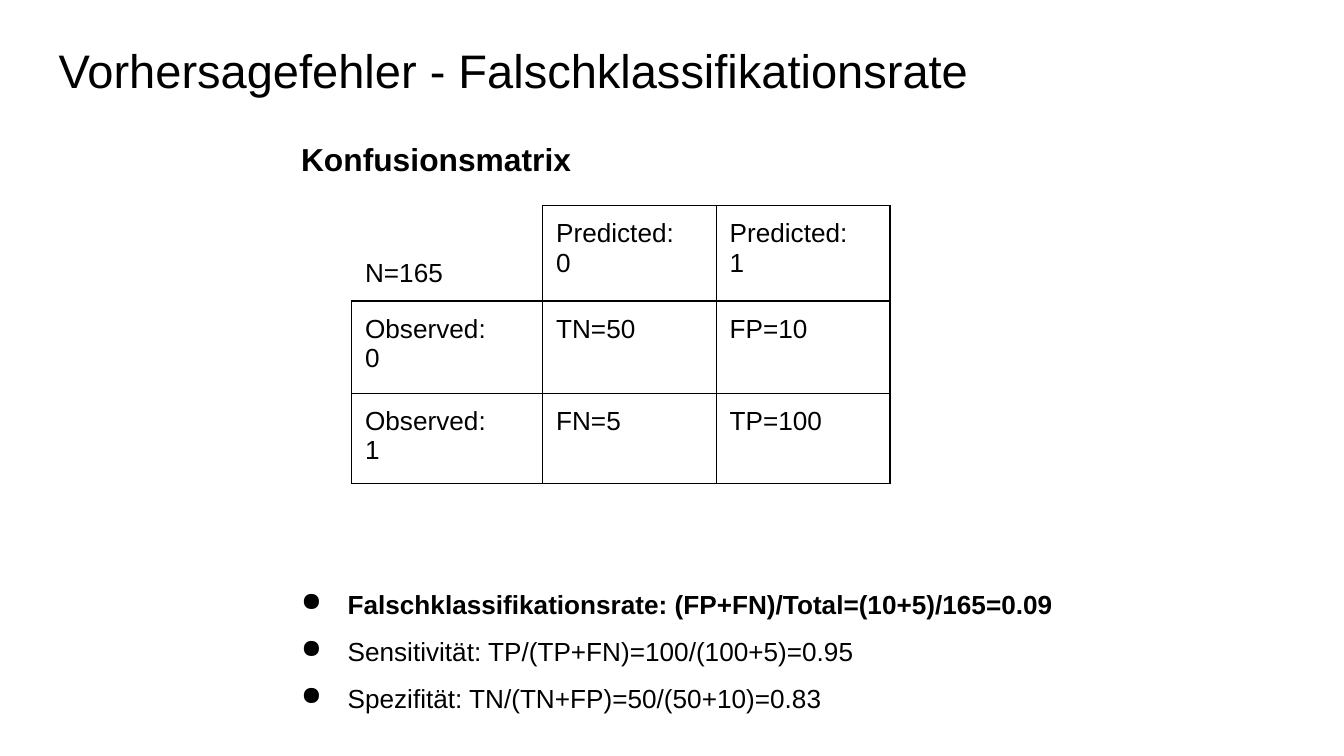
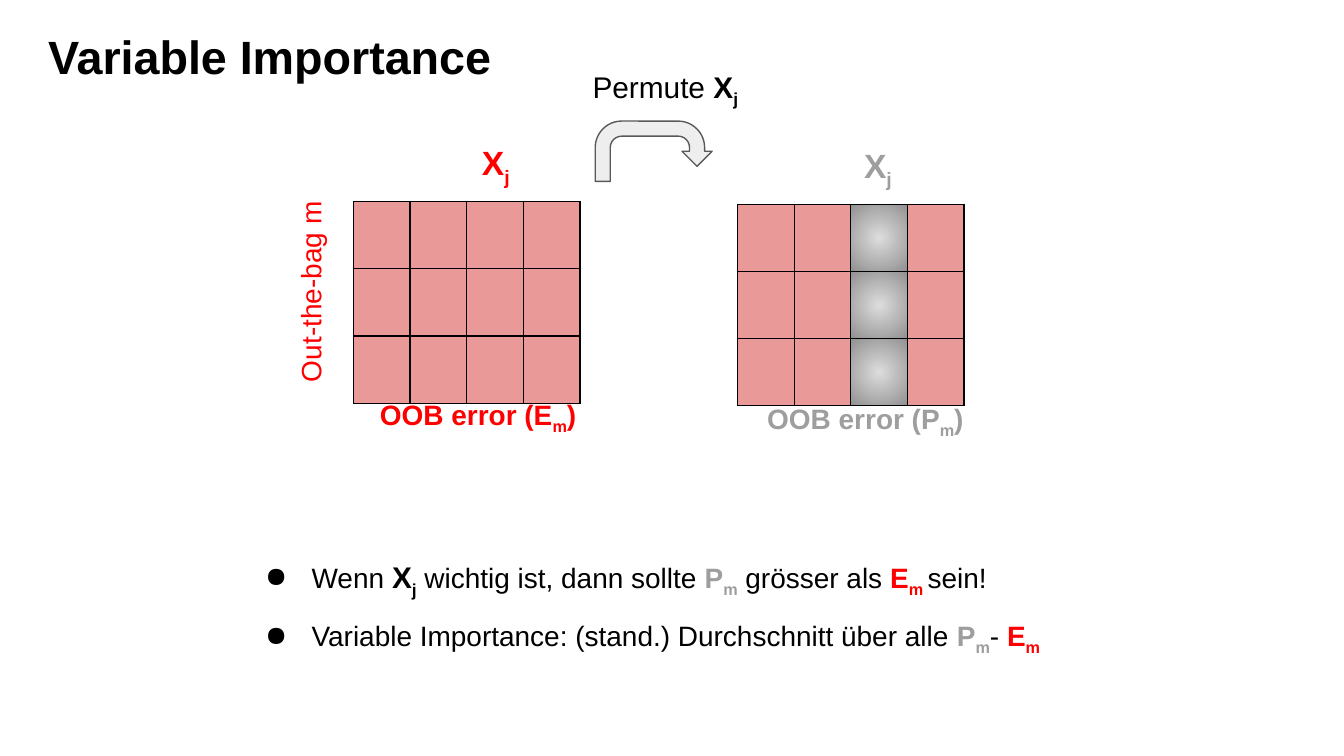
from pptx import Presentation
from pptx.dml.color import RGBColor
from pptx.enum.shapes import MSO_SHAPE
from pptx.enum.text import MSO_ANCHOR
from pptx.oxml import parse_xml
from pptx.util import Cm, Pt

U_TURN = MSO_SHAPE.U_TURN_ARROW
TOP, BOTTOM = MSO_ANCHOR.TOP, MSO_ANCHOR.BOTTOM
NS = 'xmlns:a="http://schemas.openxmlformats.org/drawingml/2006/main"'
FONT = "Arial"
BLACK, RED, GRAY = "000000", "FF0000", "9E9E9E"
PINK, ARROW_FILL, ARROW_LINE = "EA9999", "EEEEEE", "595959"
GLOW_INNER, GLOW_OUTER = "DDDDDD", "919191"
INSET = 0.25
TITLE_WIDTH, TITLE_HEIGHT = 23.67, 1.6
GRID_ROWS, GRID_COLS, GRID_CELL_W, GRID_CELL_H = 3, 4, 1.07, 1.27
PERMUTED_COL = 2


def rgb(value):
    """Turn a hex string into a colour."""
    return RGBColor.from_string(value)


def add_run(p, text, size=14, color=BLACK, bold=False, sub=False):
    """Append one formatted run to a paragraph."""
    r = p.add_run()
    r.text = text
    r.font.name = FONT
    r.font.size = Pt(size)
    r.font.bold = bold
    r.font.color.rgb = rgb(color)
    if sub:
        r._r.get_or_add_rPr().set("baseline", "-25000")


def symbol(letter, index, **fmt):
    """Return the runs of a bold symbol with a subscript."""
    return [(letter, {"bold": True, **fmt}),
            (index, {"bold": True, "sub": True, **fmt})]


def set_bullet(p):
    """Give a paragraph a hanging round bullet."""
    pPr = p._p.get_or_add_pPr()
    pPr.set("marL", str(Cm(1.27)))
    pPr.set("indent", str(Cm(-0.88)))
    pPr.append(parse_xml(f'<a:buClr {NS}><a:srgbClr val="{BLACK}"/></a:buClr>'))
    pPr.append(parse_xml(f'<a:buChar {NS} char="●"/>'))


def fill_text(tf, paragraphs, bullets=False, spacing=None, **fmt):
    """Write paragraphs, each a string or a list of (text, format) runs."""
    for i, runs in enumerate(paragraphs):
        p = tf.add_paragraph() if i else tf.paragraphs[0]
        if spacing:
            p.line_spacing = spacing
        if bullets:
            set_bullet(p)
        for text, own in [(runs, {})] if isinstance(runs, str) else runs:
            add_run(p, text, **{**fmt, **own})


def add_text(s, left, top, width, height, *paragraphs, rotation=0, **fmt):
    """Add a wrapped text box."""
    sp = s.shapes.add_textbox(Cm(left), Cm(top), Cm(width), Cm(height))
    sp.rotation = rotation
    tf = sp.text_frame
    tf.word_wrap = True
    tf.margin_left = tf.margin_right = Cm(INSET)
    tf.margin_top = tf.margin_bottom = Cm(INSET)
    fill_text(tf, paragraphs, **fmt)


def add_title(s, left, top, text, **fmt):
    """Add the slide title."""
    add_text(s, left, top, TITLE_WIDTH, TITLE_HEIGHT, text, **fmt)


def add_bullets(s, left, top, width, height, *items, **fmt):
    """Add a bulleted list with wide line spacing."""
    add_text(s, left, top, width, height, *items, bullets=True, spacing=1.5, **fmt)


def set_borders(cell, sides="LRTB"):
    """Draw thin black borders on the given sides and none elsewhere."""
    tcPr = cell._tc.get_or_add_tcPr()
    for i, side in enumerate("LRTB"):
        paint = (f'<a:solidFill><a:srgbClr val="{BLACK}"/></a:solidFill>'
                 if side in sides else "<a:noFill/>")
        tcPr.insert(i, parse_xml(f'<a:ln{side} {NS} w="{Pt(0.75)}">{paint}</a:ln{side}>'))


def set_glow(cell):
    """Fill a cell with a circular grey gradient."""
    cell._tc.get_or_add_tcPr().append(parse_xml(
        f'<a:gradFill {NS}><a:gsLst>'
        f'<a:gs pos="0"><a:srgbClr val="{GLOW_INNER}"/></a:gs>'
        f'<a:gs pos="100000"><a:srgbClr val="{GLOW_OUTER}"/></a:gs></a:gsLst>'
        '<a:path path="circle"><a:fillToRect l="50000" t="50000" r="50000" b="50000"/>'
        '</a:path></a:gradFill>'))


def add_table(s, left, top, widths, heights):
    """Add an unstyled table with even cell margins."""
    table = s.shapes.add_table(len(heights), len(widths), Cm(left), Cm(top),
                               Cm(sum(widths)), Cm(sum(heights))).table
    table.first_row = table.horz_banding = False
    for column, width in zip(table.columns, widths):
        column.width = Cm(width)
    for row, height in zip(table.rows, heights):
        row.height = Cm(height)
    for cell in table.iter_cells():
        cell.margin_left = cell.margin_right = Cm(INSET)
        cell.margin_top = cell.margin_bottom = Cm(INSET)
    return table


def add_confusion_matrix(s, left, top, rows):
    """Add the confusion matrix with an open top left corner."""
    table = add_table(s, left, top, [3.61, 3.28, 3.28], [1.8, 1.75, 1.7])
    for i, row in enumerate(rows):
        for j, text in enumerate(row):
            cell = table.cell(i, j)
            corner = i == j == 0
            cell.fill.background()
            cell.vertical_anchor = BOTTOM if corner else TOP
            fill_text(cell.text_frame, text.split("\n"))
            set_borders(cell, "RB" if corner else "LRTB")


def add_data_grid(s, left, top, glow_col=None):
    """Add a pink data grid, with one column greyed if given."""
    table = add_table(s, left, top, [GRID_CELL_W] * GRID_COLS, [GRID_CELL_H] * GRID_ROWS)
    for i in range(GRID_ROWS):
        for j in range(GRID_COLS):
            cell = table.cell(i, j)
            if j == glow_col:
                set_glow(cell)
            else:
                cell.fill.solid()
                cell.fill.fore_color.rgb = rgb(PINK)
            set_borders(cell)


def add_uturn_arrow(s, left, top, width, height):
    """Add the grey arrow that stands for the permutation."""
    sp = s.shapes.add_shape(U_TURN, Cm(left), Cm(top), Cm(width), Cm(height))
    sp.shadow.inherit = False
    sp.fill.solid()
    sp.fill.fore_color.rgb = rgb(ARROW_FILL)
    sp.line.color.rgb = rgb(ARROW_LINE)
    sp.line.width = Pt(0.75)


def build_error_slide(s):
    """Build the slide on the misclassification rate."""
    add_title(s, 0.86, 0.53, "Vorhersagefehler - Falschklassifikationsrate", size=25.2)
    add_confusion_matrix(s, 6.65, 3.89, [
        ["N=165", "Predicted:\n0", "Predicted:\n1"],
        ["Observed:\n0", "TN=50", "FP=10"],
        ["Observed:\n1", "FN=5", "TP=100"],
    ])
    add_bullets(
        s, 5.05, 10.57, 15.32, 3.8,
        [("Falschklassifikationsrate: (FP+FN)/Total=(10+5)/165=0.09", {"bold": True})],
        "Sensitivität: TP/(TP+FN)=100/(100+5)=0.95",
        "Spezifität: TN/(TN+FP)=50/(50+10)=0.83")
    add_text(s, 5.44, 2.39, 7.26, 1.24, "Konfusionsmatrix", size=17, bold=True)


def build_importance_slide(s):
    """Build the slide on variable importance."""
    add_bullets(
        s, 4.37, 9.93, 17.25, 2.18,
        [("Wenn ", {}), *symbol("X", "j", size=16), (" wichtig ist, dann sollte ", {}),
         *symbol("P", "m", color=GRAY), (" grösser als ", {}),
         *symbol("E", "m ", color=RED), ("sein!", {})],
        [("Variable Importance: (stand.) Durchschnitt über alle ", {}),
         *symbol("P", "m", color=GRAY), ("- ", {}), *symbol("E", "m", color=RED)],
        size=15)
    add_title(s, 0.66, 0.28, "Variable Importance", size=25, bold=True)
    add_data_grid(s, 6.68, 3.81)
    add_data_grid(s, 13.94, 3.86, PERMUTED_COL)
    for left, top, color in [(8.86, 2.44, RED), (16.08, 2.49, GRAY)]:
        add_text(s, left, top, 1.19, 1.27, symbol("X", "j"), size=18, color=color)
    for left, top, letter, color in [(6.93, 7.26, "E", RED), (14.25, 7.34, "P", GRAY)]:
        add_text(s, left, top, 4.6, 1.14,
                 [*symbol(f"OOB error ({letter}", "m"), (")", {})],
                 size=15, color=color, bold=True)
    add_text(s, 3.48, 4.83, 4.14, 1.14, "Out-the-bag m",
             rotation=270, spacing=1.5, size=15, color=RED)
    add_uturn_arrow(s, 11.25, 2.29, 2.21, 1.14)
    add_text(s, 10.95, 1.04, 3.33, 1.19, [("Permute ", {}), *symbol("X", "j")], size=16)


def main():
    """Create the presentation."""
    prs = Presentation()
    prs.slide_width, prs.slide_height = Cm(25.4), Cm(14.29)
    for build in (build_error_slide, build_importance_slide):
        build(prs.slides.add_slide(prs.slide_layouts[6]))
    prs.save("out.pptx")


if __name__ == "__main__":
    main()
